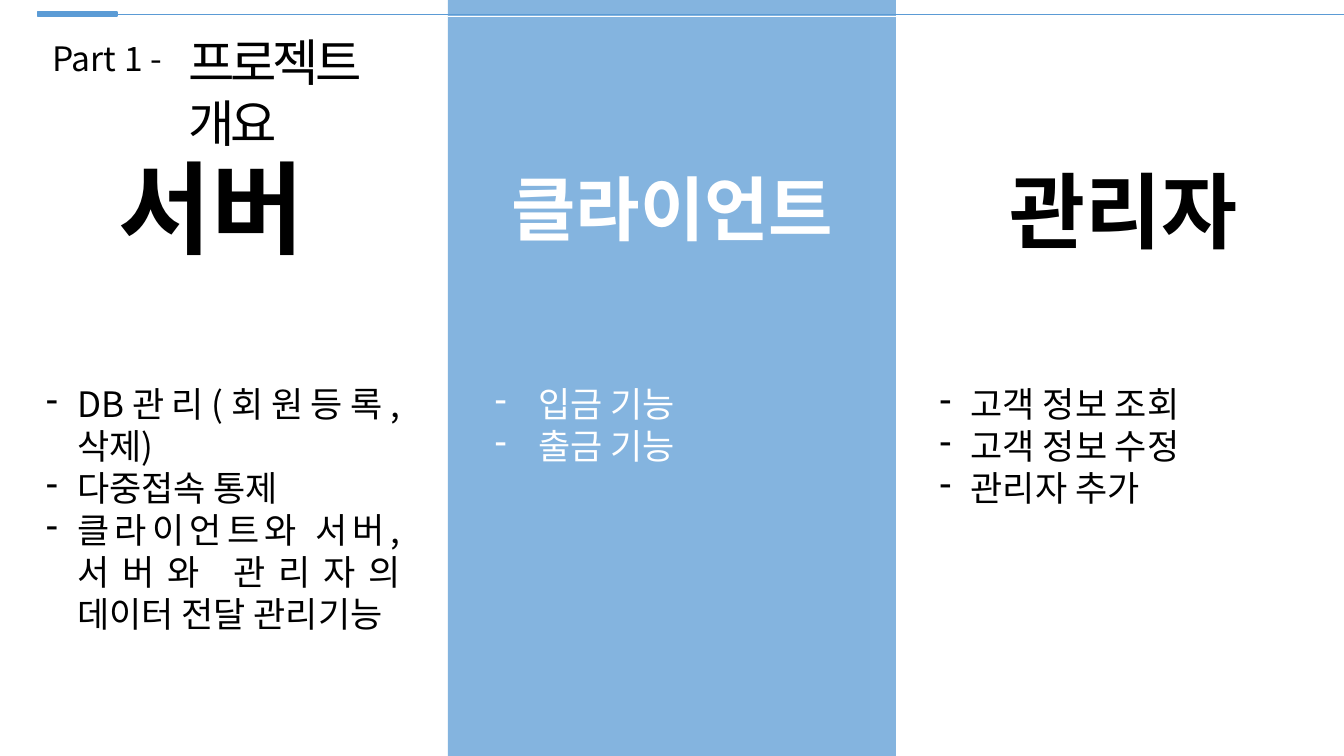
from lxml import etree
from pptx import Presentation
from pptx.dml.color import RGBColor
from pptx.enum.shapes import MSO_CONNECTOR, MSO_SHAPE
from pptx.enum.text import MSO_ANCHOR, MSO_AUTO_SIZE, PP_ALIGN
from pptx.oxml.ns import qn
from pptx.util import Inches, Pt

LEFT, CENTER, JUSTIFY = PP_ALIGN.LEFT, PP_ALIGN.CENTER, PP_ALIGN.JUSTIFY
TOP, NO_FIT = MSO_ANCHOR.TOP, MSO_AUTO_SIZE.NONE
RECT, STRAIGHT = MSO_SHAPE.RECTANGLE, MSO_CONNECTOR.STRAIGHT

TITLE = "프로젝트 개요"
PART = "Part 1 -"
COLUMNS = [
    {"head": "서버", "size": 72, "top": 1.4, "color": "black", "left": 0.36, "indent": 0.31,
     "head_left": 0.69, "head_width": 2.81,
     "items": ["DB관리(회원등록,삭제)", "다중접속 통제",
               "클라이언트와 서버, 서버와 관리자의 데이터 전달 관리기능"]},
    {"head": "클라이언트", "size": 50, "top": 1.59, "color": "white", "left": 4.81, "indent": 0.43,
     "head_left": 4.97, "head_width": 3.4,
     "items": ["입금 기능", "출금 기능"]},
    {"head": "관리자", "size": 59, "top": 1.54, "color": "black", "left": 9.22, "indent": 0.31,
     "head_left": 9.74, "head_width": 2.81,
     "items": ["고객 정보 조회", "고객 정보 수정", "관리자 추가"]},
]
COLORS = {"blue": "5B9BD5", "white": "FFFFFF", "black": "000000"}
FONT = "Noto Sans CJK KR"
WIDTH, HEIGHT = 13.33, 7.5
COLUMN = WIDTH / len(COLUMNS)
BODY_TOP, BODY_WIDTH, LINE = 3.75, 3.71, 0.42
RULES = [(1.15, WIDTH, 0.14, "blue"), (COLUMN, 2 * COLUMN, 0.16, "white")]


def rgb(name):
    return RGBColor.from_string(COLORS[name])


def write(shape, lines, size, color, align=LEFT, bold=False, indent=0, wrap=True):
    tf = shape.text_frame
    for key, value in {"word_wrap": wrap, "auto_size": NO_FIT, "vertical_anchor": TOP}.items():
        setattr(tf, key, value)
    for i, line in enumerate(lines):
        p = tf.paragraphs[0] if i == 0 else tf.add_paragraph()
        for key, value in {"alignment": align, "line_spacing": 1.0, "space_before": Pt(0)}.items():
            setattr(p, key, value)
        if indent:
            pPr = p._p.get_or_add_pPr()
            pPr.set("marL", str(Inches(indent)))
            pPr.set("indent", str(-Inches(indent)))
            etree.SubElement(pPr, qn("a:buFontTx"))
            etree.SubElement(pPr, qn("a:buChar")).set("char", "-")
        r = p.add_run()
        r.text = line
        for key, value in {"size": Pt(size), "bold": bold, "name": FONT}.items():
            setattr(r.font, key, value)
        r.font.color.rgb = rgb(color)
        etree.SubElement(r._r.get_or_add_rPr(), qn("a:ea")).set("typeface", FONT)


def add_text(s, box, *args, **kwargs):
    write(s.shapes.add_textbox(*map(Inches, box)), *args, **kwargs)


def add_block(s, box):
    sp = s.shapes.add_shape(RECT, *map(Inches, box))
    sp.shadow.inherit = False
    sp.fill.solid()
    sp.fill.fore_color.rgb = rgb("blue")
    return sp


def add_rule(s, start, end, y, color):
    c = s.shapes.add_connector(STRAIGHT, *map(Inches, (start, y, end, y)))
    c.line.color.rgb = rgb(color)
    c.line.width = Pt(0.5)
    etree.SubElement(c._element.spPr, qn("a:effectLst"))


def main():
    prs = Presentation()
    prs.slide_width, prs.slide_height = Inches(WIDTH), Inches(HEIGHT)
    s = prs.slides.add_slide(prs.slide_layouts[5])

    panel = add_block(s, (COLUMN, 0, COLUMN, HEIGHT))
    panel.line.fill.background()
    fill = panel._element.spPr.find(qn("a:solidFill"))
    etree.SubElement(fill[0], qn("a:alpha")).set("val", "75000")

    for col in COLUMNS:
        add_text(s, (col["head_left"], col["top"], col["head_width"], col["size"] / 55),
                 [col["head"]], col["size"], col["color"], CENTER, bold=True)
        add_text(s, (col["left"], BODY_TOP, BODY_WIDTH, 0.1 + LINE * len(col["items"])),
                 col["items"], 25, col["color"], JUSTIFY, indent=col["indent"])

    tab = add_block(s, (0.37, 0.12, 0.79, 0.04))
    tab.line.color.rgb = rgb("blue")
    tab.line.width = Pt(1)
    for rule in RULES:
        add_rule(s, *rule)

    add_text(s, (0.42, 0.33, 1.44, 0.5), [PART], 24, "black", wrap=False)
    title = s.shapes.title
    title.left, title.top, title.width, title.height = map(Inches, (1.77, 0.26, 2.48, 0.71))
    write(title, [TITLE], 36, "black")
    title.text_frame.paragraphs[0].runs[0]._r.get_or_add_rPr().set("spc", "-300")
    prs.save("out.pptx")


if __name__ == "__main__":
    main()
